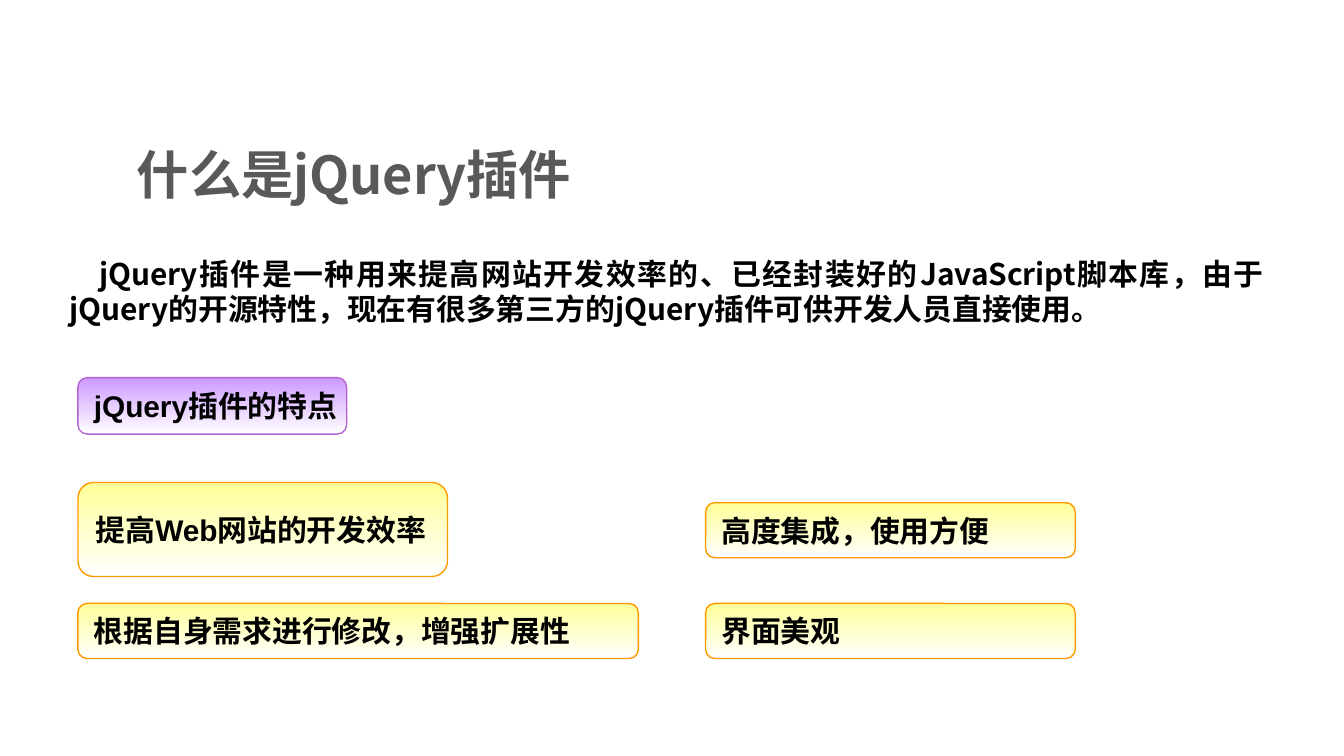
from pptx import Presentation
from pptx.dml.color import RGBColor
from pptx.enum.shapes import MSO_SHAPE
from pptx.enum.text import MSO_ANCHOR, MSO_AUTO_SIZE, PP_ALIGN
from pptx.oxml.ns import qn
from pptx.util import Inches, Pt
from lxml import etree

ROUNDED = MSO_SHAPE.ROUNDED_RECTANGLE
MIDDLE, TOP = MSO_ANCHOR.MIDDLE, MSO_ANCHOR.TOP
GROW = MSO_AUTO_SIZE.SHAPE_TO_FIT_TEXT
LEFT, JUSTIFY = PP_ALIGN.LEFT, PP_ALIGN.JUSTIFY

GREY = RGBColor(0x59, 0x59, 0x59)
BLACK = RGBColor(0, 0, 0)
WHITE = RGBColor(0xFF, 0xFF, 0xFF)
LILAC = RGBColor(0xCC, 0x99, 0xFF)
PURPLE = RGBColor(0xB5, 0x63, 0xCF)
YELLOW = RGBColor(0xFF, 0xFF, 0x99)
ORANGE = RGBColor(0xFF, 0x99, 0x00)

CJK_FONT = "Noto Sans CJK SC"
LATIN_FONT = "Arial"

LEFT_COLUMN, RIGHT_COLUMN = 0.58, 5.25
FEATURES = [
    ("提高Web网站的开发效率", (LEFT_COLUMN, 3.59, 2.75, 0.7)),
    ("高度集成，使用方便", (RIGHT_COLUMN, 3.74, 2.75, 0.41)),
    ("根据自身需求进行修改，增强扩展性", (LEFT_COLUMN, 4.49, 4.17, 0.41)),
    ("界面美观", (RIGHT_COLUMN, 4.49, 2.75, 0.41)),
]


def write_text(shape, text, size=16, font=CJK_FONT, color=BLACK,
               align=LEFT, anchor=MIDDLE, wrap=True):
    frame = shape.text_frame
    frame.text = text
    frame.word_wrap = wrap
    frame.vertical_anchor = anchor
    para = frame.paragraphs[0]
    para.alignment = align
    span = para.runs[0]
    span.font.size = Pt(size)
    span.font.bold = True
    span.font.name = font
    span.font.color.rgb = color
    east_asian = etree.SubElement(span.font._element, qn("a:ea"))
    east_asian.set("typeface", CJK_FONT)
    return para


def add_title(page, box, text):
    shape = page.shapes.add_textbox(*map(Inches, box))
    write_text(shape, text, size=28, color=GREY)


def add_definition(page, box, text):
    shape = page.shapes.add_textbox(*map(Inches, box))
    para = write_text(shape, text, align=JUSTIFY, anchor=TOP)
    shape.text_frame.auto_size = GROW
    para._p.get_or_add_pPr().set("indent", str(Inches(0.22)))


def add_label(page, box, text, top_color, line_color, wrap=True):
    """Rounded box that fades from top_color down to white."""
    shape = page.shapes.add_shape(ROUNDED, *map(Inches, box))
    shape.shadow.inherit = False
    shape.fill.gradient()
    shape.fill.gradient_angle = 270
    for stop, color in zip(shape.fill.gradient_stops, (top_color, WHITE)):
        stop.color.rgb = color
    shape.line.color.rgb = line_color
    shape.line.width = Pt(0.75)
    write_text(shape, text, font=LATIN_FONT, wrap=wrap)
    if wrap:
        shape.text_frame.auto_size = GROW


def main():
    deck = Presentation()
    deck.slide_width = Inches(10)
    deck.slide_height = Inches(10 * 9 / 16)
    page = deck.slides.add_slide(deck.slide_layouts[6])
    add_title(page, (0.92, 0.98, 7.17, 0.63), "什么是jQuery插件")
    add_definition(
        page, (0.42, 1.85, 9.08, 0.64),
        "jQuery插件是一种用来提高网站开发效率的、已经封装好的JavaScript脚本库，"
        "由于jQuery的开源特性，现在有很多第三方的jQuery插件可供开发人员直接使用。")
    add_label(page, (LEFT_COLUMN, 2.81, 2, 0.42), "jQuery插件的特点",
              LILAC, PURPLE, wrap=False)
    for text, box in FEATURES:
        add_label(page, box, text, YELLOW, ORANGE)
    deck.save("out.pptx")


if __name__ == "__main__":
    main()
